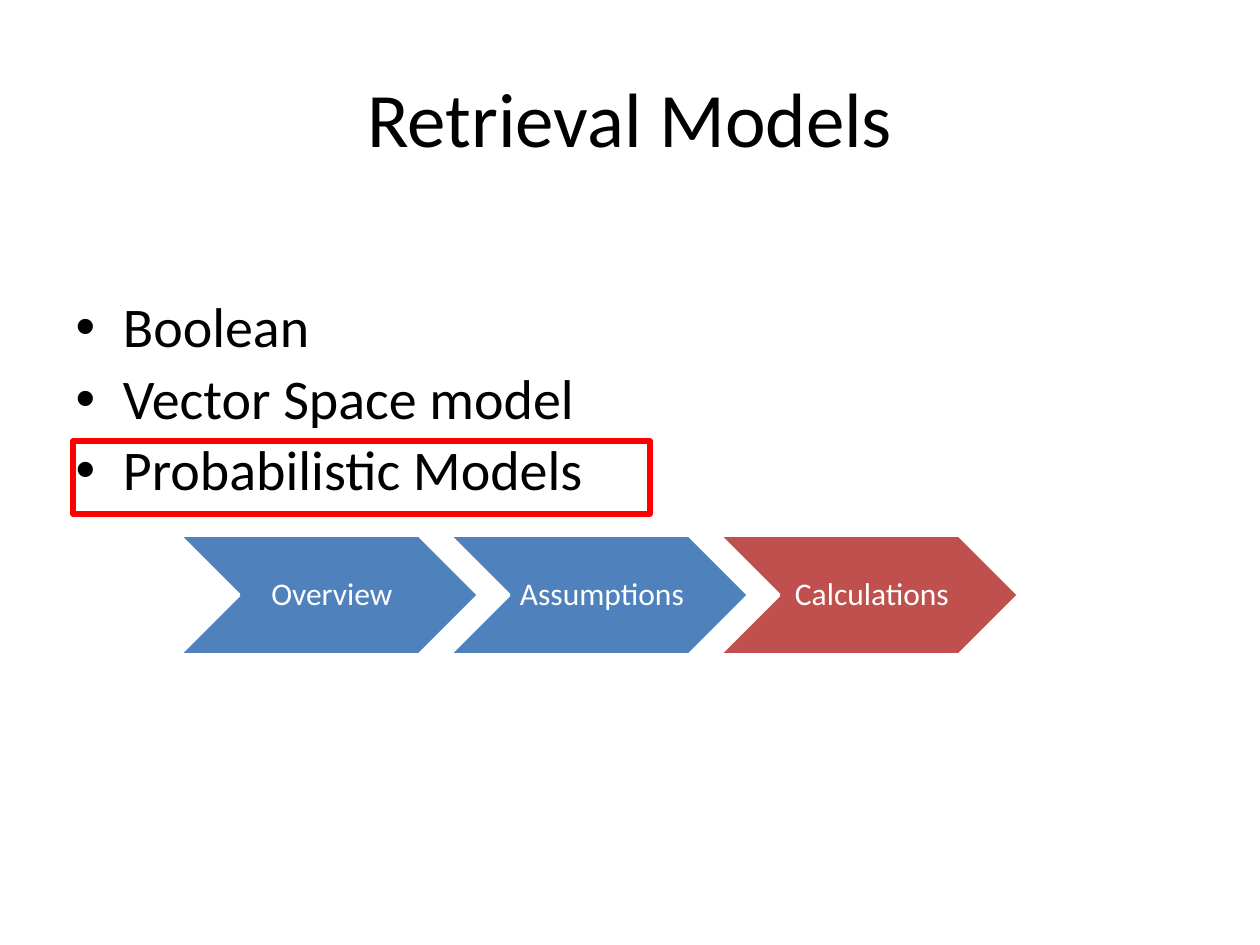
import pptx
import pptx.dml.color
import pptx.enum.shapes
import pptx.enum.text
import pptx.util

PX = 914400 / 126
FONT = "Calibri"
BLACK, WHITE, BLUE, BRICK, RED = "000000", "FFFFFF", "4F81BD", "C0504D", "FF0000"
ALIGN = pptx.enum.text.PP_ALIGN
ANCHOR = pptx.enum.text.MSO_ANCHOR
SHAPE = pptx.enum.shapes.MSO_SHAPE


def px(length):
    return pptx.util.Emu(round(length * PX))


def color(value):
    return pptx.dml.color.RGBColor.from_string(value)


def place(shape, box):
    shape.left, shape.top, shape.width, shape.height = map(px, box)


def write(para, text, size, ink):
    span = para.add_run()
    span.text = text
    span.font.name = FONT
    span.font.size = pptx.util.Pt(size)
    span.font.color.rgb = color(ink)


def outlined_shape(page, kind, box, ink, width):
    shape = page.shapes.add_shape(kind, *map(px, box))
    shape.shadow.inherit = False
    shape.line.color.rgb = color(ink)
    shape.line.width = pptx.util.Pt(width)
    return shape


def add_title(page, box, text):
    title = page.shapes.title
    place(title, box)
    frame = title.text_frame
    frame.auto_size = pptx.enum.text.MSO_AUTO_SIZE.NONE
    frame.vertical_anchor = ANCHOR.MIDDLE
    para = frame.paragraphs[0]
    para.alignment = ALIGN.CENTER
    write(para, text, 44, BLACK)


def add_model_list(page, box, models, drop):
    """Fill the body with bullets that start drop px below its top."""
    body = page.placeholders[1]
    place(body, box)
    frame = body.text_frame
    frame.auto_size = pptx.enum.text.MSO_AUTO_SIZE.NONE
    frame.margin_top = px(drop)
    for index, model in enumerate(models):
        para = frame.add_paragraph() if index else frame.paragraphs[0]
        para.line_spacing = 0.9
        write(para, model, 32, BLACK)


def add_process(page, box, steps, overlap):
    """Spread equal chevrons over the box, each overlapping the next."""
    left, top, width, height = box
    step_width = (width + overlap * (len(steps) - 1)) / len(steps)
    for index, (label, fill) in enumerate(steps):
        step_left = left + index * (step_width - overlap)
        chevron = outlined_shape(
            page, SHAPE.CHEVRON, (step_left, top, step_width, height), WHITE, 2)
        chevron.fill.solid()
        chevron.fill.fore_color.rgb = color(fill)
        frame = chevron.text_frame
        frame.word_wrap = False
        frame.vertical_anchor = ANCHOR.MIDDLE
        frame.margin_left = px(10)
        frame.margin_top = frame.margin_right = frame.margin_bottom = px(4)
        para = frame.paragraphs[0]
        para.alignment = ALIGN.CENTER
        para.line_spacing = 0.9
        write(para, label, 18, WHITE)


def add_highlight(page, box):
    outlined_shape(page, SHAPE.RECTANGLE, box, RED, 3).fill.background()


def main():
    deck = pptx.Presentation()
    deck.slide_width, deck.slide_height = px(1260), px(945)
    page = deck.slides.add_slide(deck.slide_layouts[1])
    add_title(page, (63, 38, 1134, 157), "Retrieval Models")
    add_model_list(page, (63, 220, 1134, 640),
                   ["Boolean", "Vector Space model", "Probabilistic Models"], 79)
    add_process(page, (179, 535, 840, 120),
                [("Overview", BLUE), ("Assumptions", BLUE), ("Calculations", BRICK)], 30)
    add_highlight(page, (73, 441, 577, 73))
    deck.save("out.pptx")


if __name__ == "__main__":
    main()
